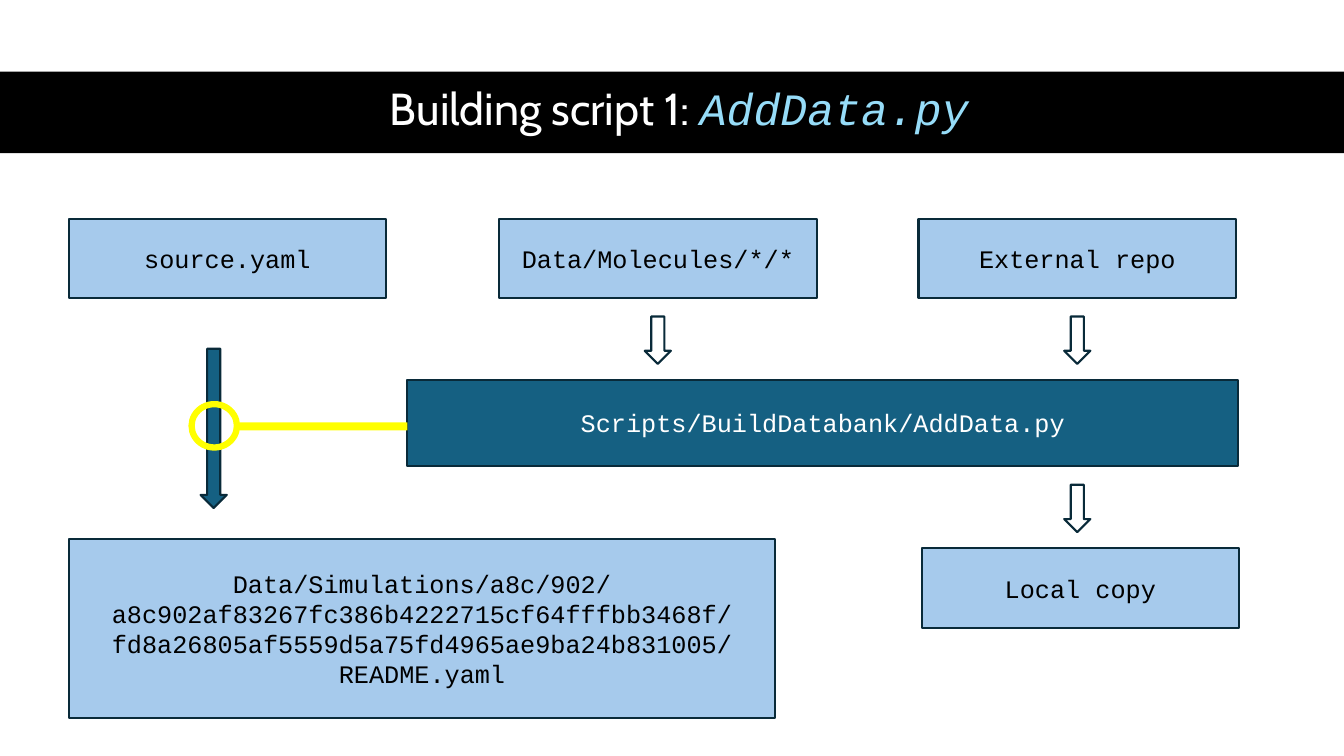
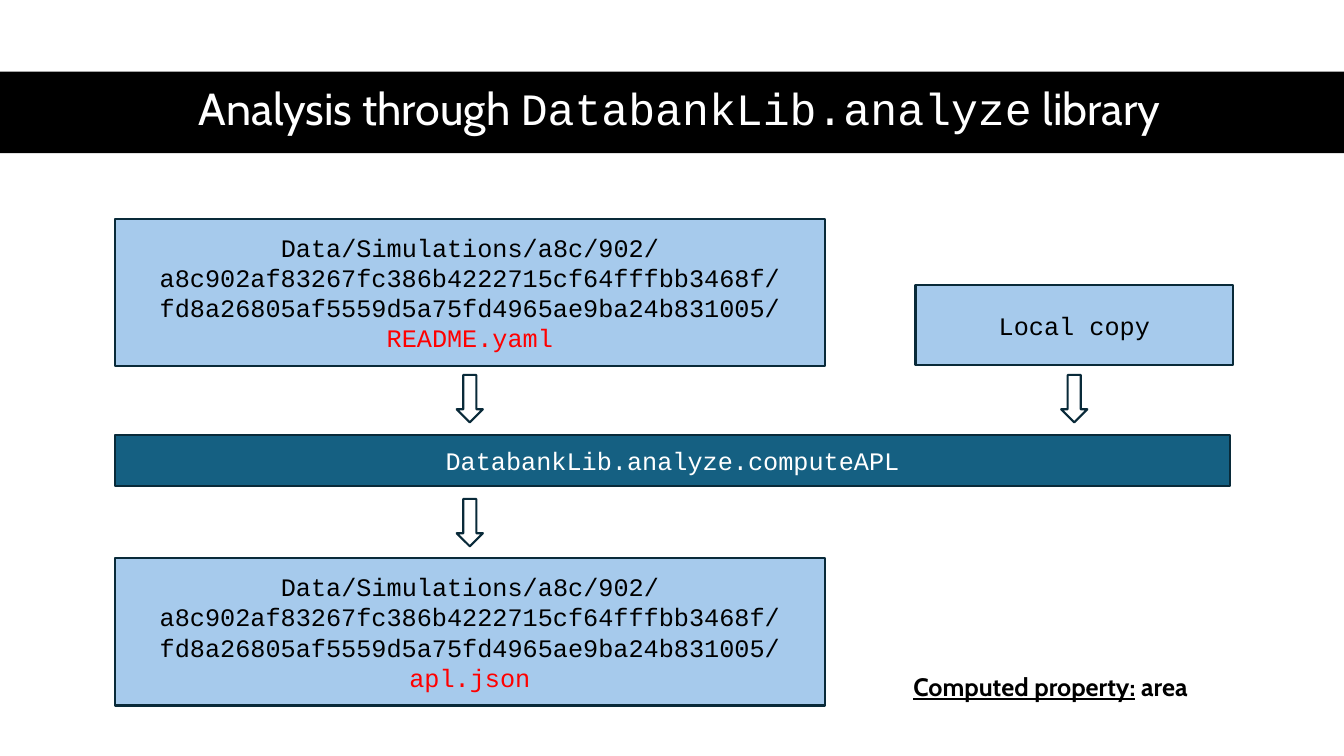
import pptx
import pptx.util
import pptx.dml.color
import pptx.enum.shapes
import pptx.enum.text

Inches = pptx.util.Inches
Pt = pptx.util.Pt
Shape = pptx.enum.shapes.MSO_SHAPE
Align = pptx.enum.text.PP_ALIGN
Anchor = pptx.enum.text.MSO_ANCHOR

BLACK, WHITE, RED, YELLOW = "000000", "FFFFFF", "FF0000", "FFFF00"
DATA_BLUE, SCRIPT_BLUE, OUTLINE, TITLE_BLUE = "A6CAEC", "156082", "092A39", "96DCF8"
SANS, MONO = "Cabin", "Courier New"

FILE_WIDTH, FILE_HEIGHT = 3.15, 0.79
ARROW_WIDTH, ARROW_HEIGHT = 0.26, 0.47
RECORD_FOLDER = [
    "Data/Simulations/a8c/902/",
    "a8c902af83267fc386b4222715cf64fffbb3468f/",
    "fd8a26805af5559d5a75fd4965ae9ba24b831005/",
]


def color(value):
    return pptx.dml.color.RGBColor.from_string(value)


class DiagramDeck:
    """Flow diagrams of files and scripts under a black title band."""

    def __init__(self):
        self.deck = pptx.Presentation()
        self.deck.slide_width = Inches(13.33)
        self.deck.slide_height = Inches(7.5)
        self.page = None

    def style(self, span, size, font, ink, bold=None, italic=None, underline=None):
        span.font.size = Pt(size)
        span.font.name = font
        span.font.color.rgb = color(ink)
        span.font.bold = bold
        span.font.italic = italic
        span.font.underline = underline

    def shape(self, kind, left, top, width, height, fill=None, line=None, weight=1.5):
        box = self.page.shapes.add_shape(
            kind, Inches(left), Inches(top), Inches(width), Inches(height))
        box.shadow.inherit = False
        if fill:
            box.fill.solid()
            box.fill.fore_color.rgb = color(fill)
        else:
            box.fill.background()
        if line:
            box.line.color.rgb = color(line)
            box.line.width = Pt(weight)
        else:
            box.line.fill.background()
        return box

    def text(self, left, top, width, height, parts, size):
        box = self.page.shapes.add_textbox(
            Inches(left), Inches(top), Inches(width), Inches(height))
        box.text_frame.word_wrap = True
        para = box.text_frame.paragraphs[0]
        for words, look in parts:
            span = para.add_run()
            span.text = words
            self.style(span, size, **look)
        return box

    def new_page(self, title_parts):
        self.page = self.deck.slides.add_slide(self.deck.slide_layouts[6])
        self.shape(Shape.RECTANGLE, 0, 0.71, 13.33, 0.81, BLACK)
        title = self.text(0.61, 0.7, 12.26, 0.81, title_parts, 32)
        title.text_frame.vertical_anchor = Anchor.MIDDLE
        title.text_frame.paragraphs[0].alignment = Align.CENTER
        title.text_frame.paragraphs[0].line_spacing = 0.9

    def labelled(self, left, top, width, height, lines, fill, ink, last_ink=None):
        box = self.shape(Shape.RECTANGLE, left, top, width, height, fill, OUTLINE)
        box.text_frame.vertical_anchor = Anchor.MIDDLE
        para = box.text_frame.paragraphs[0]
        para.text = "\v".join(lines)
        para.alignment = Align.CENTER
        for span in para.runs:
            self.style(span, 18, MONO, ink)
        if last_ink:
            para.runs[-1].font.color.rgb = color(last_ink)

    def script(self, left, top, width, height, name):
        self.labelled(left, top, width, height, [name], SCRIPT_BLUE, WHITE)

    def file(self, left, top, name):
        self.labelled(left, top, FILE_WIDTH, FILE_HEIGHT, [name], DATA_BLUE, BLACK)

    def record(self, left, top, width, height, name, name_ink=BLACK):
        self.labelled(left, top, width, height, RECORD_FOLDER + [name],
                      DATA_BLUE, BLACK, name_ink)

    def arrow(self, center, top, height=ARROW_HEIGHT, fill=WHITE):
        self.shape(Shape.DOWN_ARROW, center - ARROW_WIDTH / 2, top,
                   ARROW_WIDTH, height, fill, OUTLINE)


def build_add_data(diagram):
    diagram.new_page([
        ("Building script 1: ", dict(font=SANS, ink=WHITE)),
        ("AddData.py", dict(font=MONO, ink=TITLE_BLUE, italic=True)),
    ])
    source_left, molecules_left, repo_left = 0.68, 4.95, 9.11
    molecules_center = molecules_left + FILE_WIDTH / 2
    repo_center = repo_left + FILE_WIDTH / 2

    diagram.script(4.04, 3.77, 8.24, 0.85, "Scripts/BuildDatabank/AddData.py")
    for left, name in ((source_left, "source.yaml"),
                       (molecules_left, "Data/Molecules/*/*"),
                       (repo_left, "External repo")):
        diagram.file(left, 2.17, name)
    diagram.record(source_left, 5.35, 7.01, 1.77, "README.yaml")
    diagram.file(9.14, 5.44, "Local copy")

    diagram.arrow(2.12, 3.46, 1.58, SCRIPT_BLUE)
    diagram.shape(Shape.OVAL, 1.9, 4.01, 0.45, 0.43, line=YELLOW, weight=4.5)
    diagram.shape(Shape.RECTANGLE, 2.35, 4.19, 1.69, 0.08, YELLOW)
    for center, top in ((molecules_center, 3.14), (repo_center, 3.14), (repo_center, 4.81)):
        diagram.arrow(center, top)


def build_analysis(diagram):
    sans_title = dict(font=SANS, ink=WHITE)
    diagram.new_page([
        ("Analysis through ", sans_title),
        ("DatabankLib.analyze", dict(font=MONO, ink=WHITE)),
        (" library", sans_title),
    ])
    record_left, record_width, copy_left = 1.14, 7.04, 9.08
    record_center = record_left + record_width / 2
    copy_center = copy_left + FILE_WIDTH / 2

    diagram.script(record_left, 4.32, 11.06, 0.5, "DatabankLib.analyze.computeAPL")
    for top, name in ((2.17, "README.yaml"), (5.54, "apl.json")):
        diagram.record(record_left, top, record_width, 1.46, name, RED)
    diagram.file(copy_left, 2.83, "Local copy")
    for center, top in ((record_center, 3.72), (copy_center, 3.72), (record_center, 4.95)):
        diagram.arrow(center, top)

    caption = dict(font=SANS, ink=BLACK, bold=True)
    diagram.text(8.96, 6.61, 3.26, 0.4, [
        ("Computed property:", dict(caption, underline=True)),
        (" area", caption),
    ], 18)


def main():
    diagram = DiagramDeck()
    build_add_data(diagram)
    build_analysis(diagram)
    diagram.deck.save("out.pptx")


if __name__ == "__main__":
    main()
